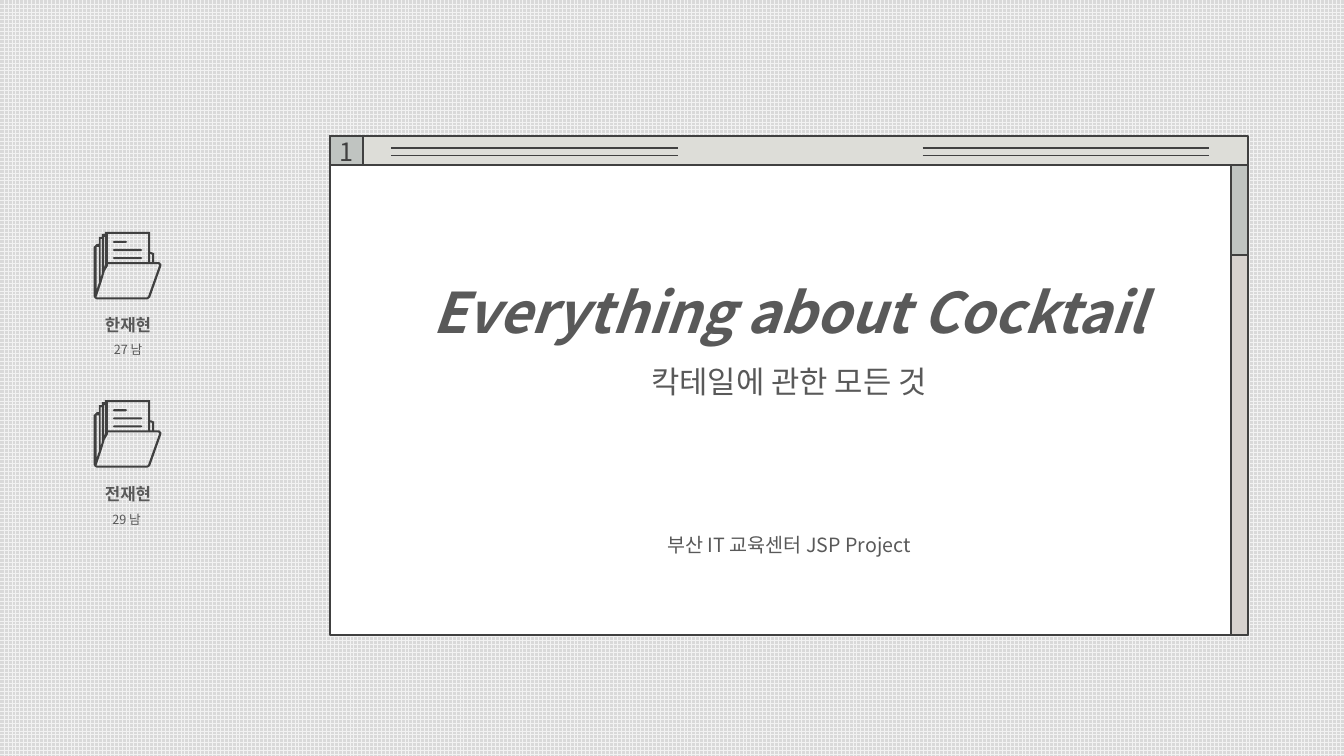
"""Builds the cocktail project title slide, styled as a retro desktop window."""
from lxml.etree import SubElement
from pptx import Presentation
from pptx.dml.color import RGBColor
from pptx.enum.dml import MSO_PATTERN
from pptx.enum.shapes import MSO_CONNECTOR, MSO_SHAPE
from pptx.enum.text import MSO_ANCHOR, MSO_AUTO_SIZE, PP_ALIGN
from pptx.oxml.ns import qn
from pptx.util import Inches, Pt

FONT = "Noto Sans CJK KR"
INK, TEXT = "404040", "595959"

# text, size, bold, italic, space before
TITLE_LINES = [
    ("Everything about Cocktail", 40, True, True, 0),
    ("칵테일에 관한 모든 것", 22, False, False, 0),
    ("부산 IT 교육센터 JSP Project", 14, False, False, 87),
]
# name, age and sex, folder top, caption top
MEMBERS = [
    ("전재현", "29 남 ", 3.97, 4.65),
    ("한재현", "27 남", 2.3, 2.97),
]

WINDOW_LEFT, WINDOW_TOP, WINDOW_WIDTH = 3.27, 1.35, 9.11
BAR_HEIGHT, BODY_TOP, BODY_HEIGHT = 0.3, 1.64, 4.66
SCROLL_WIDTH, THUMB_HEIGHT = 0.17, 0.89
SCROLL_LEFT = WINDOW_LEFT + WINDOW_WIDTH - SCROLL_WIDTH
STRIPE_LEFTS, STRIPE_TOPS, STRIPE_WIDTH = (3.88, 9.15), (1.47, 1.54), 2.84

FOLDER_LEFT = 0.93
# hundredths of an inch from the folder's top left corner
FOLDER_CONTOURS = [
    [(64, 30), (60, 30), (60, 21), (59, 21), (57, 20), (56, 20), (56, 0), (11, 0),
     (11, 2), (8, 2), (8, 5), (5, 5), (5, 12), (3, 12), (1, 14), (0, 15), (0, 64),
     (1, 66), (3, 67), (53, 67), (55, 66), (56, 65), (67, 34), (67, 32), (65, 30)],
    [(57, 22), (58, 23), (58, 30), (56, 30), (56, 22)],
    [(54, 2), (54, 30), (14, 30), (14, 2)],
    [(11, 5), (11, 33), (10, 36), (10, 5)],
    [(7, 7), (8, 7), (8, 42), (7, 45)],
    [(3, 15), (5, 15), (5, 51), (3, 57)],
    [(54, 64), (53, 65), (3, 65), (3, 64), (5, 58), (8, 49), (11, 39), (14, 34),
     (14, 32), (64, 32), (65, 33)],
]
# left, right, top
WRITING = [(19, 48, 17), (19, 33, 9), (19, 48, 25)]


def color(hex_string):
    return RGBColor.from_string(hex_string)


def write(paragraph, text, size, bold=False, italic=False, ink=TEXT):
    paragraph.text = text
    paragraph.alignment = PP_ALIGN.CENTER
    font = paragraph.font
    font.name, font.size, font.bold, font.italic = FONT, Pt(size), bold, italic
    font.color.rgb = color(ink)
    properties = paragraph._p.pPr.find(qn("a:defRPr"))
    SubElement(properties, qn("a:ea")).set("typeface", FONT)


def add_box(shapes, left, top, width, height, fill):
    box = shapes.add_shape(MSO_SHAPE.RECTANGLE, *map(Inches, (left, top, width, height)))
    box.shadow.inherit = False
    box.fill.solid()
    box.fill.fore_color.rgb = color(fill)
    box.line.color.rgb = color(INK)
    box.line.width = Pt(1.5)
    box.text_frame.vertical_anchor = MSO_ANCHOR.MIDDLE
    return box


def add_stripe(shapes, left, top):
    stripe = shapes.add_connector(MSO_CONNECTOR.STRAIGHT, Inches(left), Inches(top),
                                  Inches(left + STRIPE_WIDTH), Inches(top))
    stripe.line.color.rgb = color(INK)
    stripe.line.width = Pt(1)
    SubElement(stripe._element.spPr, qn("a:effectLst"))


def add_outline(shapes, contours, top):
    builder = shapes.build_freeform(*contours[0][0], scale=Inches(0.01))
    for number, contour in enumerate(contours):
        if number:
            builder.move_to(*contour[0])
        builder.add_line_segments(contour[1:], close=True)
    outline = builder.convert_to_shape(Inches(FOLDER_LEFT), Inches(top))
    outline.shadow.inherit = False
    outline.fill.solid()
    outline.fill.fore_color.rgb = color(INK)
    outline.line.fill.background()


def add_window(slide):
    shapes = slide.shapes.add_group_shape().shapes
    add_box(shapes, WINDOW_LEFT, WINDOW_TOP, WINDOW_WIDTH, BAR_HEIGHT, "DDDDD8")
    number = add_box(shapes, WINDOW_LEFT, WINDOW_TOP, 0.33, BAR_HEIGHT, "C0C4C1")
    write(number.text_frame.paragraphs[0], "1", 18, ink=INK)
    body = add_box(shapes, WINDOW_LEFT, BODY_TOP, WINDOW_WIDTH, BODY_HEIGHT, "FFFFFF")
    frame = body.text_frame
    for index, (text, size, bold, italic, gap) in enumerate(TITLE_LINES):
        paragraph = frame.add_paragraph() if index else frame.paragraphs[0]
        write(paragraph, text, size, bold, italic)
        paragraph.line_spacing = 1.5
        paragraph.space_before = Pt(gap)
    add_box(shapes, SCROLL_LEFT, BODY_TOP, SCROLL_WIDTH, BODY_HEIGHT, "D7D2CE")
    add_box(shapes, SCROLL_LEFT, BODY_TOP, SCROLL_WIDTH, THUMB_HEIGHT, "C0C4C1")
    for left in STRIPE_LEFTS:
        for top in STRIPE_TOPS:
            add_stripe(shapes, left, top)


def add_member(slide, name, details, folder_top, caption_top):
    shapes = slide.shapes.add_group_shape().shapes
    add_outline(shapes, FOLDER_CONTOURS, folder_top)
    for left, right, top in WRITING:
        capsule = [(left + 1, top + 2), (right - 1, top + 2), (right, top + 1),
                   (right - 1, top), (left + 1, top), (left, top + 1)]
        add_outline(shapes, [capsule], folder_top)
    caption = slide.shapes.add_textbox(Inches(0.61), Inches(caption_top),
                                       Inches(1.32), Inches(0.63))
    frame = caption.text_frame
    frame.word_wrap = True
    frame.auto_size = MSO_AUTO_SIZE.SHAPE_TO_FIT_TEXT
    write(frame.paragraphs[0], name, 12, bold=True)
    write(frame.add_paragraph(), details, 9)
    for paragraph in frame.paragraphs:
        paragraph.line_spacing = 1.5


def main():
    presentation = Presentation()
    presentation.slide_width, presentation.slide_height = Inches(13.33), Inches(7.5)
    slide = presentation.slides.add_slide(presentation.slide_layouts[6])
    background = slide.background.fill
    background.patterned()
    background.pattern = MSO_PATTERN.LARGE_GRID
    background.fore_color.rgb = color("F2F2F2")
    background.back_color.rgb = color("D9D9D9")
    add_window(slide)
    for member in MEMBERS:
        add_member(slide, *member)
    presentation.save("out.pptx")


if __name__ == "__main__":
    main()
